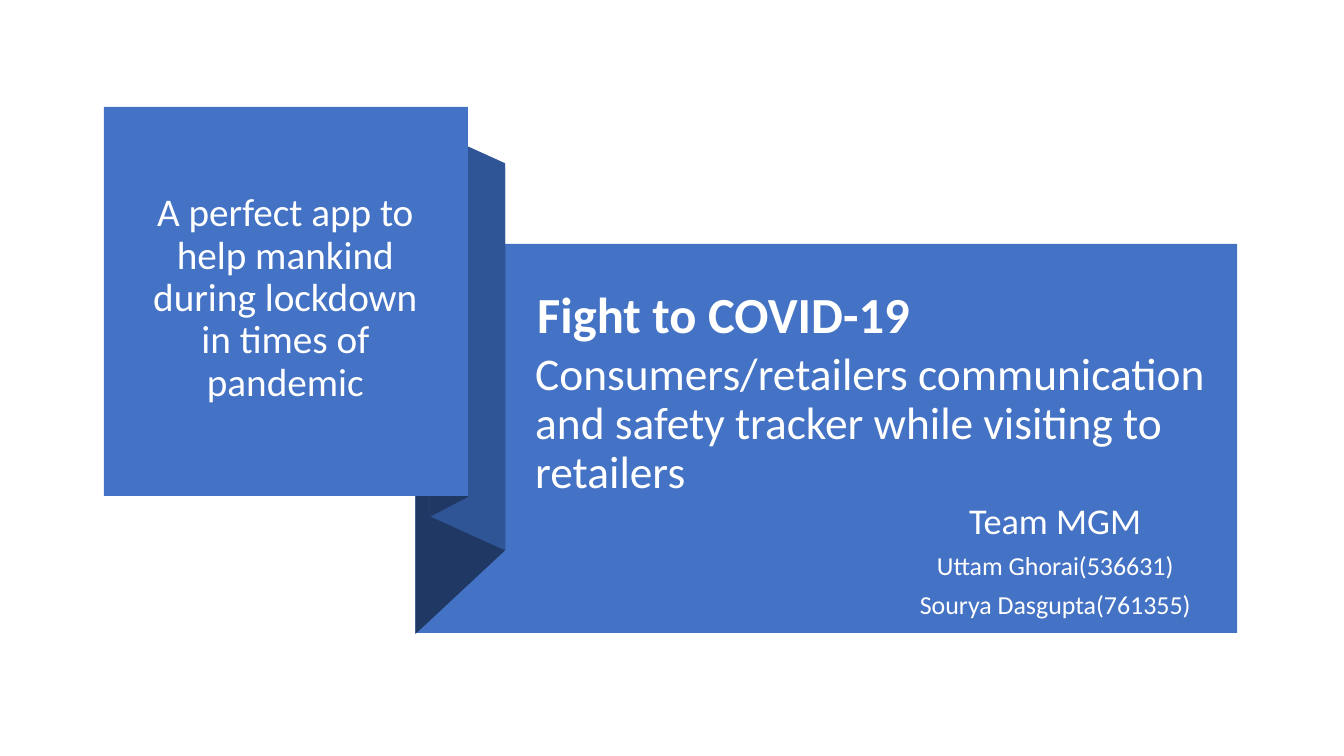
from pptx import Presentation
from pptx import util as u
from pptx.dml.color import RGBColor
from pptx.enum import shapes, text

PX = 9144
COLORS = {"panel": "4472C4", "fold": "2F5597", "shade": "203864", "text": "FFFFFF"}

prs = Presentation()
prs.slide_width, prs.slide_height = 1333 * PX, 750 * PX
s = prs.slides.add_slide(prs.slide_layouts[6])


def paint(sp, color):
    sp.shadow.inherit = False
    sp.fill.solid()
    sp.fill.fore_color.rgb = RGBColor.from_string(COLORS[color])
    sp.line.fill.background()


def add_text(box, lines, para_format):
    tf = s.shapes.add_textbox(*[v * PX for v in box]).text_frame
    tf.word_wrap = True
    tf.vertical_anchor = text.MSO_ANCHOR.MIDDLE
    for i, (words, size, bold) in enumerate(lines):
        p = tf.paragraphs[0] if i == 0 else tf.add_paragraph()
        for name, value in para_format.items():
            setattr(p, name, value)
        r = p.add_run()
        r.text = words
        font_format = {"name": "Calibri", "size": u.Pt(size), "bold": bold}
        for name, value in font_format.items():
            setattr(r.font, name, value)
        r.font.color.rgb = RGBColor.from_string(COLORS["text"])


panels = [(412, 242, 815, 386), (103, 106, 361, 386)]
ribbon = [
    ("shade", [(501, 546), (412, 629), (412, 248), (501, 166)]),
    ("fold", [(501, 546), (426, 512), (426, 128), (501, 162)]),
    ("shade", [(464, 493), (426, 513), (426, 127), (464, 108)]),
]

paint(s.shapes.add_shape(shapes.MSO_SHAPE.RECTANGLE, *[v * PX for v in panels[0]]), "panel")
for color, points in ribbon:
    fb = s.shapes.build_freeform(*points[0], scale=PX)
    fb.add_line_segments(points[1:], close=True)
    paint(fb.convert_to_shape(), color)
paint(s.shapes.add_shape(shapes.MSO_SHAPE.RECTANGLE, *[v * PX for v in panels[1]]), "panel")

left = {"alignment": text.PP_ALIGN.LEFT, "line_spacing": 0.9}
centred = {"alignment": text.PP_ALIGN.CENTER, "line_spacing": 0.9, "space_before": u.Pt(10)}

add_text((521, 312, 705, 219),
         [("Consumers/retailers communication and safety tracker while visiting to retailers", 32.4, False)],
         left)
add_text((138, 141, 290, 311),
         [("A perfect app to help mankind during lockdown in times of pandemic", 28, False)],
         centred)
add_text((523, 205, 705, 219), [("Fight to COVID-19", 36.1, True)], left)
add_text((819, 497, 455, 124),
         [("Team MGM", 25.9, False),
          ("Uttam Ghorai(536631)", 18.5, False),
          ("Sourya Dasgupta(761355)", 18.5, False)],
         {**centred, "line_spacing": 0.8})

prs.save("out.pptx")
